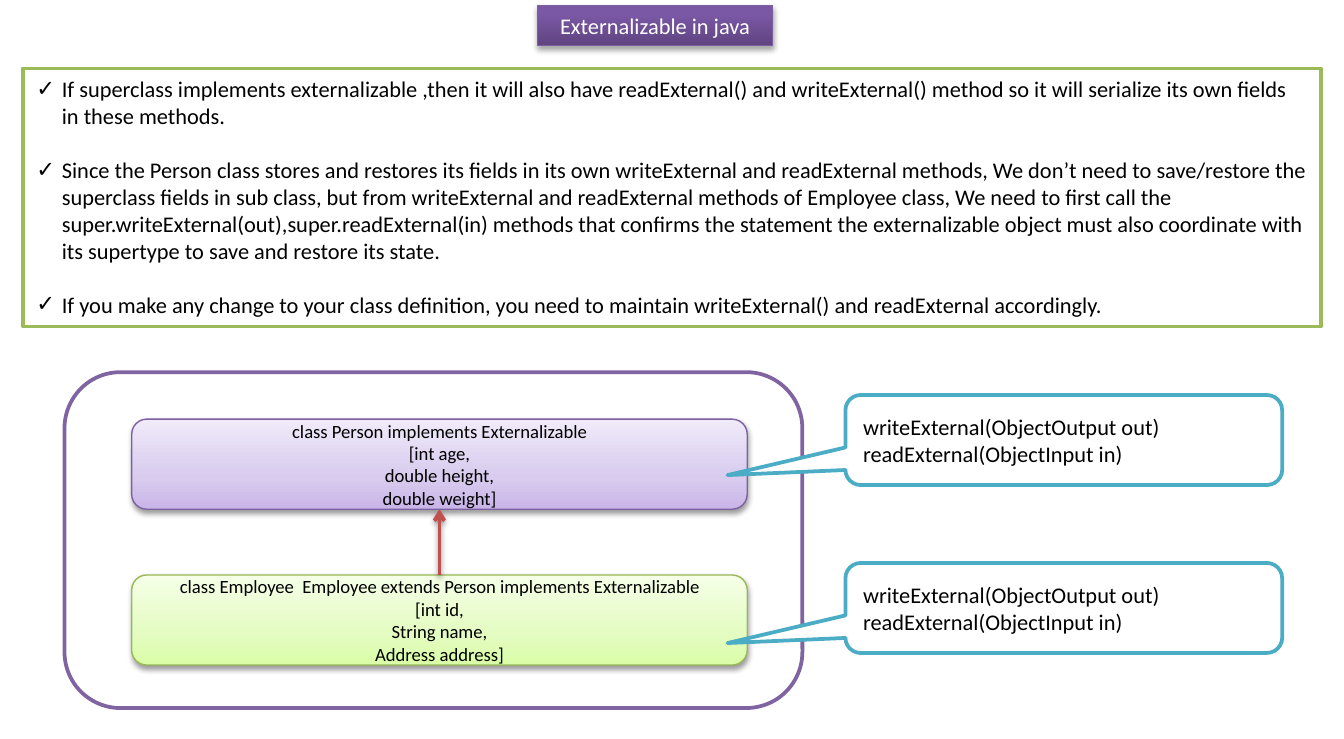
"""Build the slide on Externalizable inheritance in Java."""
from copy import deepcopy

from lxml import etree
from pptx import Presentation
from pptx import util as u
from pptx.dml.color import RGBColor
from pptx.enum import shapes, text
from pptx.oxml import ns

TITLE = "Externalizable in java"
POINTS = [
    "If superclass implements externalizable ,then it will also have readExternal() and "
    "writeExternal() method so it will serialize its own fields in these methods.",
    "Since the Person class stores and restores its fields in its own writeExternal and "
    "readExternal methods, We don’t need to save/restore the superclass fields in sub class, "
    "but from writeExternal and readExternal methods of Employee class, We need to first call "
    "the super.writeExternal(out),super.readExternal(in) methods that confirms the statement "
    "the externalizable object must also coordinate with its supertype to save and restore "
    "its state.",
    "If you make any change to your class definition, you need to maintain writeExternal() "
    "and readExternal accordingly.",
]
METHODS = ["writeExternal(ObjectOutput out)", "readExternal(ObjectInput in)"]
CLASSES = [
    {"name": "person", "top": 3.12, "callout_top": 2.94,
     "lines": ["class Person implements Externalizable", "[int age,", "double height,",
               "double weight]"]},
    {"name": "employee", "top": 4.28, "callout_top": 4.19,
     "lines": ["class Employee  Employee extends Person implements Externalizable",
               "[int id,", "String name,", "Address address]"]},
]
COLORS = {"white": "FFFFFF", "black": "000000", "green": "9BBB59", "purple": "8064A2",
          "teal": "4BACC6", "red": "C0504D", "title_line": "7D60A0",
          "person_line": "7D60A0", "employee_line": "98B955"}
GRADIENTS = {
    "title": [(0, "5F4480"), (0.8, "7B58A6"), (1, "7C57A8")],
    "person": [(0, "C9B5E8"), (0.35, "D8CBEE"), (1, "F0EAF9")],
    "employee": [(0, "DAFDA7"), (0.35, "E4FCC2"), (1, "F5FFE7")],
}
FONT = "Calibri"
FRAME = {"word_wrap": True, "auto_size": text.MSO_AUTO_SIZE.NONE}
BULLET_INDENT = {"marL": u.Inches(0.19), "indent": u.Inches(-0.19)}
SHAPE = shapes.MSO_SHAPE


def set_all(obj, values):
    for name, value in values.items():
        setattr(obj, name, value)


def place(sp, left, top, width, height):
    set_all(sp, {"left": u.Inches(left), "top": u.Inches(top),
                 "width": u.Inches(width), "height": u.Inches(height)})


def outline(sp, color, width):
    sp.line.color.rgb = RGBColor.from_string(COLORS[color])
    sp.line.width = u.Pt(width)


def paint(sp, color, width=2):
    sp.shadow.inherit = False
    sp.fill.solid()
    sp.fill.fore_color.rgb = RGBColor.from_string(COLORS["white"])
    outline(sp, color, width)


def add_shadow(effects, alpha, distance):
    shadow = etree.SubElement(effects, ns.qn("a:outerShdw"), blurRad=str(u.Pt(3.1)),
                              dist=str(u.Pt(distance)), dir="5400000", rotWithShape="0")
    color = etree.SubElement(shadow, ns.qn("a:srgbClr"), val=COLORS["black"])
    etree.SubElement(color, ns.qn("a:alpha"), val=str(alpha * 1000))


def paint_gradient(sp, name, alpha=38, distance=1.6):
    paint(sp, f"{name}_line", 0.75)
    sp.fill.gradient()
    sp.fill.gradient_angle = 90
    stops = sp._element.spPr.find(".//" + ns.qn("a:gsLst"))
    stops.append(deepcopy(stops[-1]))
    for stop, (position, color) in zip(sp.fill.gradient_stops, GRADIENTS[name]):
        stop.position = position
        stop.color.rgb = RGBColor.from_string(color)
    add_shadow(sp._element.spPr.find(ns.qn("a:effectLst")), alpha, distance)


def add_bullet(p, char):
    pPr = p._p.get_or_add_pPr()
    for name, value in BULLET_INDENT.items():
        pPr.set(name, str(value))
    etree.SubElement(pPr, ns.qn("a:buFont"), typeface=FONT)
    etree.SubElement(pPr, ns.qn("a:buChar"), char=char)


def write(sp, lines, size=12, align="LEFT", anchor="MIDDLE", color="black", gap=0,
          bullet=None):
    tf = sp.text_frame
    set_all(tf, FRAME)
    tf.vertical_anchor = getattr(text.MSO_ANCHOR, anchor)
    for i, line in enumerate(lines):
        p = tf.add_paragraph() if i else tf.paragraphs[0]
        if bullet:
            add_bullet(p, bullet)
        set_all(p, {"alignment": getattr(text.PP_ALIGN, align),
                    "space_before": u.Pt(gap if i else 0)})
        r = p.add_run()
        r.text = line
        set_all(r.font, {"name": FONT, "size": u.Pt(size)})
        r.font.color.rgb = RGBColor.from_string(COLORS[color])


def add_shape(s, kind, *box):
    sp = s.shapes.add_shape(kind, 0, 0, 0, 0)
    place(sp, *box)
    return sp


def add_inheritance_arrow(s, child, parent):
    cx = s.shapes.add_connector(shapes.MSO_CONNECTOR.STRAIGHT, 0, 0, 0, 0)
    cx.begin_connect(child, 0)
    cx.end_connect(parent, 2)
    outline(cx, "red", 2)
    spPr = cx._element.spPr
    etree.SubElement(spPr.find(ns.qn("a:ln")), ns.qn("a:tailEnd"), type="arrow")
    add_shadow(etree.SubElement(spPr, ns.qn("a:effectLst")), 38, 1.6)


def main():
    prs = Presentation()
    set_all(prs, {"slide_width": u.Inches(10), "slide_height": u.Inches(5.5)})
    s = prs.slides.add_slide(prs.slide_layouts[1])

    title, body = s.placeholders
    place(title, 4, 0.04, 1.75, 0.3)
    paint_gradient(title, "title", 35, 1.8)
    write(title, [TITLE], align="CENTER", color="white")

    place(body, 0.17, 0.51, 9.66, 1.92)
    paint(body, "green")
    write(body, POINTS, anchor="TOP", gap=14.6, bullet="✓")
    body.text_frame.margin_right = u.Inches(0.08)

    paint(add_shape(s, SHAPE.ROUNDED_RECTANGLE, 0.48, 2.77, 5.49, 2.5), "purple")
    boxes = {}
    for item in CLASSES:
        sp = add_shape(s, SHAPE.ROUNDED_RECTANGLE, 0.98, item["top"], 4.58, 0.67)
        paint_gradient(sp, item["name"])
        write(sp, item["lines"], size=10, align="CENTER")
        boxes[item["name"]] = sp
    add_inheritance_arrow(s, boxes["employee"], boxes["person"])

    for item in CLASSES:
        sp = add_shape(s, SHAPE.ROUNDED_RECTANGULAR_CALLOUT,
                       6.29, item["callout_top"], 3.25, 0.67)
        for i, value in enumerate((-0.77, 0.39, 0.17)):
            sp.adjustments[i] = value
        paint(sp, "teal")
        write(sp, METHODS)

    prs.save("out.pptx")


if __name__ == "__main__":
    main()
